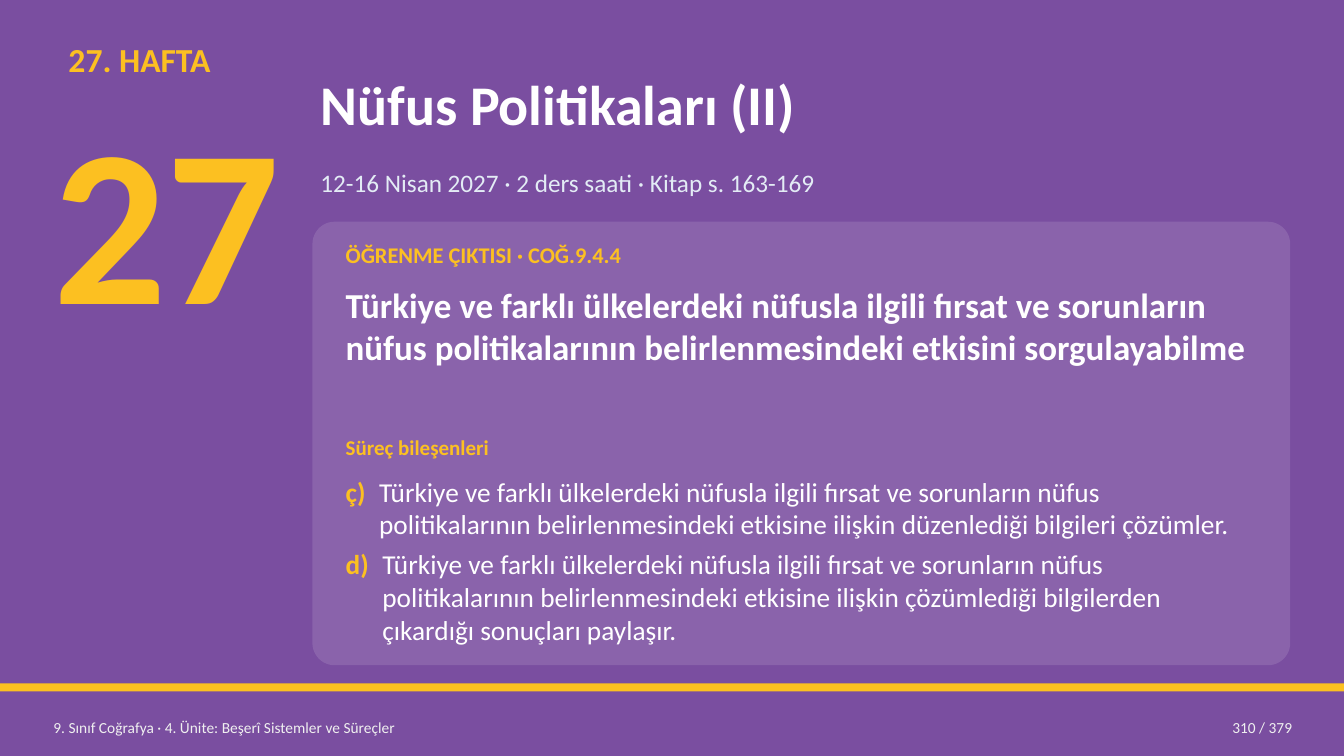
from lxml import etree
from pptx import Presentation
from pptx.dml.color import RGBColor
from pptx.enum.shapes import MSO_SHAPE
from pptx.enum.text import MSO_ANCHOR, PP_ALIGN
from pptx.oxml.ns import qn
from pptx.util import Pt

RECTANGLE, ROUNDED = MSO_SHAPE.RECTANGLE, MSO_SHAPE.ROUNDED_RECTANGLE
TOP, MIDDLE = MSO_ANCHOR.TOP, MSO_ANCHOR.MIDDLE
LEFT, RIGHT = PP_ALIGN.LEFT, PP_ALIGN.RIGHT

PURPLE = RGBColor(0x7A, 0x4E, 0xA0)
YELLOW = RGBColor(0xFC, 0xC0, 0x21)
WHITE = RGBColor(0xFF, 0xFF, 0xFF)
PALE_BLUE = RGBColor(0xE3, 0xEC, 0xF5)
PALE_GREY = RGBColor(0xF0, 0xF0, 0xF0)

FONT = "Calibri"
WIDTH, HEIGHT = 960, 540
PADDING = 5.76

COMPONENTS = [
    ("ç)", "Türkiye ve farklı ülkelerdeki nüfusla ilgili fırsat ve sorunların nüfus "
           "politikalarının belirlenmesindeki etkisine ilişkin düzenlediği bilgileri çözümler.", 23.8),
    ("d)", "Türkiye ve farklı ülkelerdeki nüfusla ilgili fırsat ve sorunların nüfus "
           "politikalarının belirlenmesindeki etkisine ilişkin çözümlediği bilgilerden "
           "çıkardığı sonuçları paylaşır.", 26.2),
]


def add_panel(slide, box, color, kind=RECTANGLE, opacity=None):
    shape = slide.shapes.add_shape(kind, *map(Pt, box))
    shape.shadow.inherit = False
    shape.fill.solid()
    shape.fill.fore_color.rgb = color
    shape.line.fill.background()
    if opacity is not None:
        color_element = shape.fill._xPr.find(qn("a:solidFill"))[0]
        etree.SubElement(color_element, qn("a:alpha"), val=str(opacity * 1000))
    return shape


def add_run(paragraph, text, size, color, bold=False):
    run = paragraph.add_run()
    run.text = text
    run.font.name = FONT
    run.font.size = Pt(size)
    run.font.bold = bold
    run.font.color.rgb = color


def add_frame(slide, box, anchor=TOP, padding=2.88):
    frame = slide.shapes.add_textbox(*map(Pt, box)).text_frame
    frame.word_wrap = True
    frame.vertical_anchor = anchor
    frame.margin_left = frame.margin_right = Pt(PADDING)
    frame.margin_top = frame.margin_bottom = Pt(padding)
    return frame


def add_text(slide, box, text, size, color, bold=False, align=LEFT, anchor=TOP, padding=2.88):
    paragraph = add_frame(slide, box, anchor, padding).paragraphs[0]
    paragraph.alignment = align
    add_run(paragraph, text, size, color, bold)


def draw_week(slide, left, top):
    add_text(slide, (left + 10.8, top, 187.2, 39.6), "27. HAFTA", 24, YELLOW, bold=True)
    add_text(slide, (left, top + 32.4, 187.2, 198), "27", 160, YELLOW, bold=True, padding=0)


def draw_heading(slide, left, top, width):
    add_text(slide, (left, top, width, 82.8), "Nüfus Politikaları (II)", 40, WHITE,
             bold=True, anchor=MIDDLE)
    add_text(slide, (left, top + 84.24, width, 32.4),
             "12-16 Nisan 2027 · 2 ders saati · Kitap s. 163-169", 18, PALE_BLUE)


def draw_outcome_card(slide, left, top, width, height):
    card = add_panel(slide, (left, top, width, height), WHITE, ROUNDED, opacity=12)
    card.adjustments[0] = 0.05
    inner_left, inner_width = left + 18, width - 36

    # Learning outcome
    add_text(slide, (inner_left, top + 10.8, inner_width, 28.8),
             "ÖĞRENME ÇIKTISI · COĞ.9.4.4", 16, YELLOW, bold=True)
    add_text(slide, (inner_left, top + 41.04, inner_width, 99.36),
             "Türkiye ve farklı ülkelerdeki nüfusla ilgili fırsat ve sorunların nüfus "
             "politikalarının belirlenmesindeki etkisini sorgulayabilme", 25, WHITE, bold=True)

    # Process components, each with a hanging letter
    add_text(slide, (inner_left, top + 149.04, inner_width, 27.36),
             "Süreç bileşenleri", 15, YELLOW, bold=True)
    frame = add_frame(slide, (inner_left, top + 177.84, inner_width, 130.32))
    for index, (letter, text, indent) in enumerate(COMPONENTS):
        paragraph = frame.add_paragraph() if index else frame.paragraphs[0]
        properties = paragraph._p.get_or_add_pPr()
        properties.set("marL", str(Pt(indent)))
        properties.set("indent", str(-Pt(indent)))
        if index < len(COMPONENTS) - 1:
            paragraph.space_after = Pt(4.9)
        add_run(paragraph, letter + "\t", 19.5, YELLOW, bold=True)
        add_run(paragraph, text, 19.5, WHITE)


def draw_footer(slide, left, top, width):
    add_panel(slide, (0, top, WIDTH, 5.76), YELLOW)
    text_top, page_width = top + 18.72, 115.2
    add_text(slide, (left, text_top, 547.2, 25.92),
             "9. Sınıf Coğrafya · 4. Ünite: Beşerî Sistemler ve Süreçler", 11, PALE_GREY,
             anchor=MIDDLE)
    add_text(slide, (left + width - page_width, text_top, page_width, 25.92),
             "310 / 379", 11, PALE_GREY, align=RIGHT, anchor=MIDDLE)


def main():
    presentation = Presentation()
    presentation.slide_width, presentation.slide_height = Pt(WIDTH), Pt(HEIGHT)
    slide = presentation.slides.add_slide(presentation.slide_layouts[6])
    add_panel(slide, (0, 0, WIDTH, HEIGHT), PURPLE)
    draw_week(slide, 32.4, 25.2)
    draw_heading(slide, 223.2, 32.4, 698.4)
    draw_outcome_card(slide, 223.2, 158.4, 698.4, 316.8)
    draw_footer(slide, 32.4, 488.16, 896.4)
    presentation.save("out.pptx")


if __name__ == "__main__":
    main()
